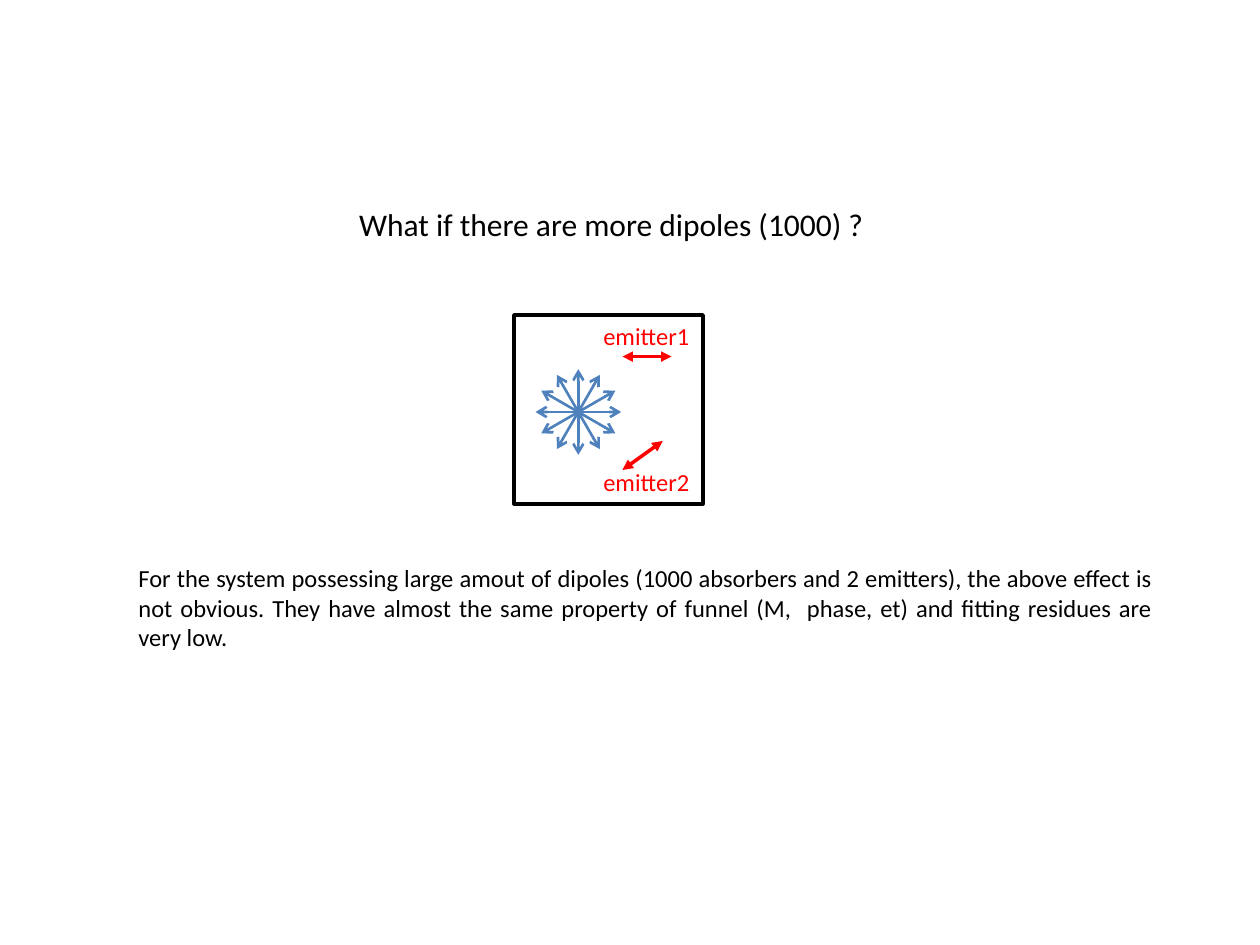
from dataclasses import dataclass
from math import cos, radians, sin

from lxml.etree import SubElement
from pptx import Presentation
from pptx.dml.color import RGBColor
from pptx.enum.shapes import MSO_CONNECTOR, MSO_SHAPE
from pptx.enum.text import MSO_ANCHOR, MSO_AUTO_SIZE, PP_ALIGN
from pptx.oxml.ns import qn
from pptx.util import Inches, Pt


@dataclass(frozen=True)
class Theme:
    font: str = "Calibri"
    title_size: int = 18
    body_size: int = 14
    ink: RGBColor = RGBColor(0, 0, 0)
    paper: RGBColor = RGBColor(255, 255, 255)
    emitter: RGBColor = RGBColor(255, 0, 0)
    absorber: RGBColor = RGBColor(0x4F, 0x81, 0xBD)
    heavy_line: float = 2
    light_line: float = 1.5


THEME = Theme()


def place(shape, box):
    shape.left, shape.top, shape.width, shape.height = map(Inches, box)


def write_text(shape, text, size, color, alignment=PP_ALIGN.LEFT, wrap=False):
    frame = shape.text_frame
    frame.text = text
    frame.word_wrap = wrap
    frame.auto_size = MSO_AUTO_SIZE.SHAPE_TO_FIT_TEXT
    frame.vertical_anchor = MSO_ANCHOR.TOP
    paragraph = frame.paragraphs[0]
    paragraph.alignment = alignment
    font = paragraph.runs[0].font
    font.name = THEME.font
    font.size = Pt(size)
    font.color.rgb = color


def add_text(slide, box, text, color, **options):
    shape = slide.shapes.add_textbox(*map(Inches, box))
    write_text(shape, text, THEME.body_size, color, **options)


def add_double_arrow(slide, start, end, color, width, arrowhead):
    connector = slide.shapes.add_connector(
        MSO_CONNECTOR.STRAIGHT, *map(Inches, (*start, *end))
    )
    connector.line.color.rgb = color
    connector.line.width = Pt(width)
    line = connector.line._get_or_add_ln()
    for tag in ("a:headEnd", "a:tailEnd"):
        SubElement(line, qn(tag), type=arrowhead)
    SubElement(connector._element.spPr, qn("a:effectLst"))


def add_title(slide, box):
    title = slide.shapes.title
    place(title, box)
    write_text(title, "What if there are more dipoles (1000) ?",
               THEME.title_size, THEME.ink)


def add_absorbers(slide, box, count=6):
    left, top, width, height = box
    radius = width / 2
    center_x, center_y = left + radius, top + height / 2
    for index in range(count):
        angle = radians(index * 180 / count)
        dx, dy = radius * cos(angle), radius * sin(angle)
        add_double_arrow(slide, (center_x - dx, center_y - dy),
                         (center_x + dx, center_y + dy),
                         THEME.absorber, THEME.light_line, "arrow")


def add_dipole_diagram(slide, box):
    left, top, width, height = box
    frame = slide.shapes.add_shape(MSO_SHAPE.RECTANGLE, *map(Inches, box))
    frame.shadow.inherit = False
    frame.fill.solid()
    frame.fill.fore_color.rgb = THEME.paper
    frame.line.color.rgb = THEME.ink
    frame.line.width = Pt(THEME.heavy_line)

    label_height = 0.34
    emitters = (
        ("emitter1", 0, (0.86, 0.33), (1.25, 0.33)),
        ("emitter2", height - label_height, (0.86, 1.23), (1.18, 1)),
    )
    for name, label_top, start, end in emitters:
        add_text(slide, (left + 0.61, top + label_top, 0.9, label_height),
                 name, THEME.emitter)
        add_double_arrow(slide, (left + start[0], top + start[1]),
                         (left + end[0], top + end[1]),
                         THEME.emitter, THEME.heavy_line, "triangle")
    add_absorbers(slide, (left + 0.17, top + 0.43, 0.68, 0.68))


def add_conclusion(slide, box):
    add_text(
        slide, box,
        "For the system possessing large amout of dipoles (1000 absorbers and "
        "2 emitters), the above effect is not obvious. They have almost the "
        "same property of funnel (M,  phase, et) and fitting residues are "
        "very low.",
        THEME.ink, alignment=PP_ALIGN.JUSTIFY, wrap=True,
    )


def main():
    presentation = Presentation()
    presentation.slide_width = Inches(10)
    presentation.slide_height = Inches(7.5)
    slide = presentation.slides.add_slide(presentation.slide_layouts[5])
    add_title(slide, (2.75, 1.58, 4.26, 0.4))
    add_dipole_diagram(slide, (4.08, 2.5, 1.5, 1.5))
    add_conclusion(slide, (1, 4.42, 8.25, 0.81))
    presentation.save("out.pptx")


if __name__ == "__main__":
    main()
